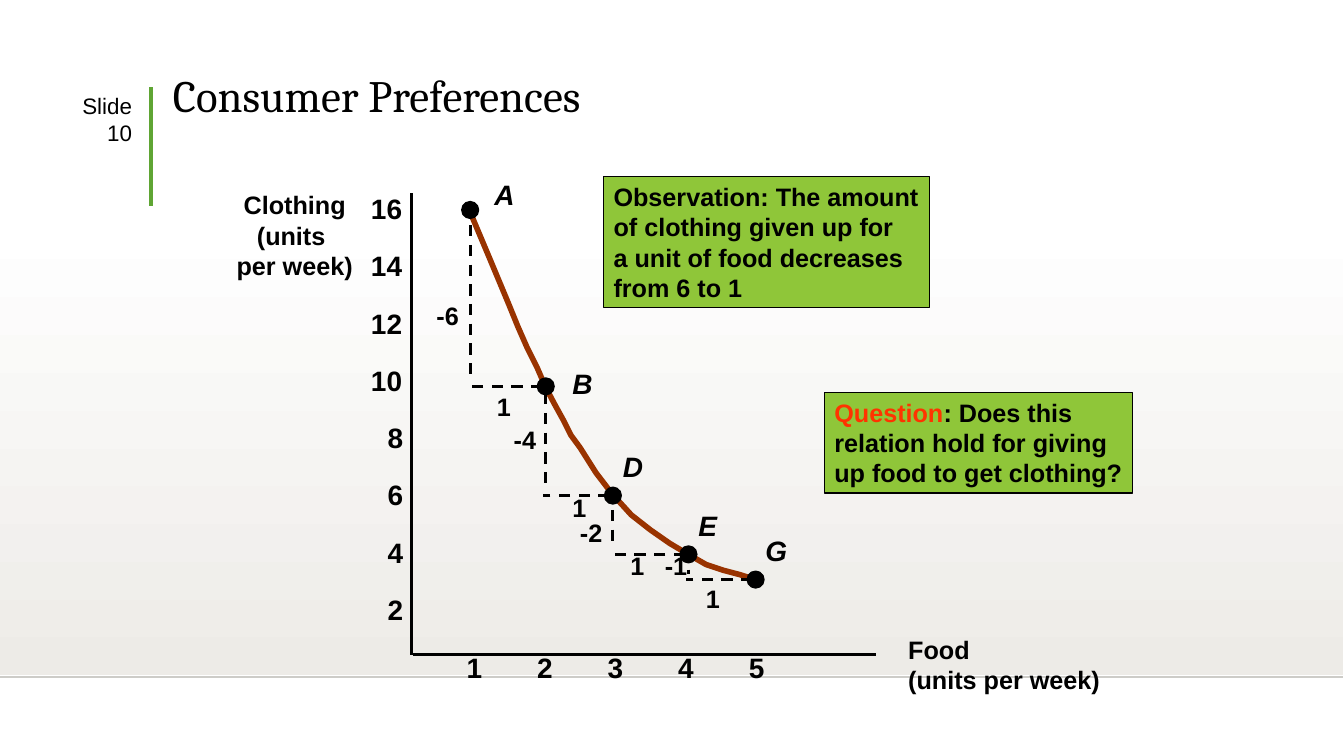
from lxml.etree import SubElement
from pptx import Presentation
from pptx.dml.color import RGBColor
from pptx.enum.dml import MSO_LINE
from pptx.enum.shapes import MSO_CONNECTOR, MSO_SHAPE
from pptx.enum.text import MSO_ANCHOR, MSO_AUTO_SIZE, PP_ALIGN
from pptx.oxml.ns import qn
from pptx.util import Emu, Inches, Pt

COLORS = {
    "ink": "000000", "white": "FFFFFF", "haze": "EDEBE7", "horizon": "CDCCC8",
    "accent": "5FA534", "curve": "993300", "note": "8FC639", "question": "FF3300",
}
COLUMNS, ROWS = 160, 90
CELL = Inches(7.5) / ROWS

BUNDLES = [
    ("A", 56, 25, (57.7, 20.5)),
    ("B", 65, 46, (67, 43)),
    ("D", 73, 59, (73, 52.9)),
    ("E", 82, 66, (82, 59.9)),
    ("G", 90, 69, (90, 62.9)),
]
TRADES = [
    ("-6", 1.8, (50.8, 35.2), (58, 46)),
    ("-4", 0.8, (60, 49.9), (67, 58)),
    ("-2", 1.7, (67.9, 61), (73.9, 64.9)),
    ("-1", 1.8, (78, 64.9), (82.9, 68.9)),
]
INDIFFERENCE = [
    (55.9, 25), (58.3, 30.7), (60.6, 36.2), (61.7, 38.9), (62.8, 41.4), (64, 43.8),
    (65, 46.1), (66, 48), (67.1, 50), (68, 51.8), (69.1, 53.3), (71, 56.3),
    (73, 58.9), (74.2, 60.2), (75.2, 61.3), (77.5, 63.1), (79.8, 64.7), (82, 66),
    (84.1, 67.2), (86.2, 67.9), (88.1, 68.4), (90, 69),
]


def grid(*cells):
    return [Emu(round(cell * CELL)) for cell in cells]


def color(name):
    return RGBColor.from_string(COLORS[name])


def write(frame, lines, size=18, bold=True, italic=False, font="Arial",
          align=PP_ALIGN.LEFT, anchor=MSO_ANCHOR.TOP, wrap=False, spacing=None):
    frame.word_wrap = wrap
    frame.auto_size = MSO_AUTO_SIZE.NONE if wrap else MSO_AUTO_SIZE.SHAPE_TO_FIT_TEXT
    frame.vertical_anchor = anchor
    for index, line in enumerate(lines):
        paragraph = frame.add_paragraph() if index else frame.paragraphs[0]
        paragraph.alignment = align
        paragraph.line_spacing = spacing
        for words, ink in [(line, "ink")] if isinstance(line, str) else line:
            run = paragraph.add_run()
            run.text = words
            run.font.size, run.font.name = Pt(size), font
            run.font.bold, run.font.italic = bold, italic
            run.font.color.rgb = color(ink)


def add_label(slide, box, lines, **style):
    write(slide.shapes.add_textbox(*grid(*box)).text_frame, lines, **style)


def add_line(slide, start, end, ink="ink", width=2, dashed=False):
    line = slide.shapes.add_connector(MSO_CONNECTOR.STRAIGHT, *grid(*start, *end))
    line.line.color.rgb = color(ink)
    line.line.width = Pt(width)
    if dashed:
        line.line.dash_style = MSO_LINE.DASH
    SubElement(line._element.spPr, qn("a:effectLst"))


def add_filled(slide, kind, box, fill):
    shape = slide.shapes.add_shape(kind, *grid(*box))
    shape.shadow.inherit = False
    shape.fill.solid()
    shape.fill.fore_color.rgb = color(fill)
    shape.line.color.rgb = color("ink")
    shape.line.width = Pt(1)
    return shape


def add_note(slide, box, lines):
    note = add_filled(slide, MSO_SHAPE.RECTANGLE, box, "note")
    write(note.text_frame, lines)


def add_backdrop(slide):
    haze = add_filled(slide, MSO_SHAPE.RECTANGLE, (0, 26.4, COLUMNS, 54), "haze")
    haze.line.fill.background()
    haze.fill.gradient()
    haze.fill.gradient_angle = 270
    for stop, tint in zip(haze.fill.gradient_stops, ("white", "haze")):
        stop.color.rgb = color(tint)
    add_line(slide, (0, 80.6), (COLUMNS, 80.6), "horizon", 1)
    add_line(slide, (18, 10.4), (18, 24.5), "accent", 3)


def add_heading(slide):
    title = slide.shapes.title
    title.left, title.top, title.width, title.height = grid(19.4, 1.4, 125, 13.8)
    write(title.text_frame, ["Consumer Preferences"], size=32, bold=False, font="Cambria",
          anchor=MSO_ANCHOR.BOTTOM, wrap=True, spacing=0.9)
    add_label(slide, (6.2, 10.4, 10.7, 6.6), ["Slide 10"], size=16, bold=False,
              align=PP_ALIGN.RIGHT, wrap=True)


def add_axes(slide):
    add_line(slide, (49, 23), (49, 78))
    add_line(slide, (49.2, 77.9), (104.3, 77.9))
    for step in range(8):
        clothing = 16 - 2 * step
        left, width = (43, 6.1) if clothing > 9 else (45, 4.2)
        add_label(slide, (left, 22.2 + 6.82 * step, width, 5.2), [str(clothing)], size=20)
    for step in range(5):
        add_label(slide, (54.4 + 8.4 * step, 76.9, 4.2, 5.2), [str(step + 1)], size=20)
    add_label(slide, (27, 22, 16.2, 12), ["Clothing", "(units ", "per week)"],
              align=PP_ALIGN.CENTER)
    add_label(slide, (107, 74.9, 25.2, 8.4), ["Food", "(units per week)"])


def add_curve(slide):
    points = [grid(*point) for point in INDIFFERENCE]
    builder = slide.shapes.build_freeform(*points[0])
    builder.add_line_segments(points[1:], close=False)
    curve = builder.convert_to_shape()
    curve.shadow.inherit = False
    curve.fill.background()
    curve.line.color.rgb = color("curve")
    curve.line.width = Pt(4)


def add_trades(slide):
    for here, there, trade in zip(BUNDLES, BUNDLES[1:], TRADES):
        _, food, clothing, _ = here
        _, next_food, next_clothing, _ = there
        given_up, gap, drop_label, gain_label = trade
        add_line(slide, (food, clothing + gap), (food, next_clothing - 0.7), dashed=True)
        add_line(slide, (next_food - 0.4, next_clothing), (food - 0.3, next_clothing),
                 dashed=True)
        add_label(slide, (*drop_label, 5.4, 4.8), [given_up])
        add_label(slide, (*gain_label, 4.2, 4.8), ["1"])


def add_bundles(slide):
    for name, food, clothing, corner in BUNDLES:
        add_filled(slide, MSO_SHAPE.OVAL, (food - 1, clothing - 1, 2, 2), "ink")
        add_label(slide, (*corner, 4.8, 5.2), [name], size=20, italic=True)


def main():
    deck = Presentation()
    deck.slide_width, deck.slide_height = Inches(13.34), Inches(7.5)
    slide = deck.slides.add_slide(deck.slide_layouts[5])
    add_backdrop(slide)
    add_heading(slide)
    add_curve(slide)
    add_trades(slide)
    add_bundles(slide)
    add_axes(slide)
    add_note(slide, (71.9, 21, 38.8, 15.6),
             ["Observation: The amount", "of clothing given up for",
              "a unit of food decreases", "from 6 to 1"])
    add_note(slide, (98.2, 46.7, 36.7, 12),
             [[("Question", "question"), (": Does this", "ink")],
              "relation hold for giving", "up food to get clothing?"])
    deck.save("out.pptx")


if __name__ == "__main__":
    main()
